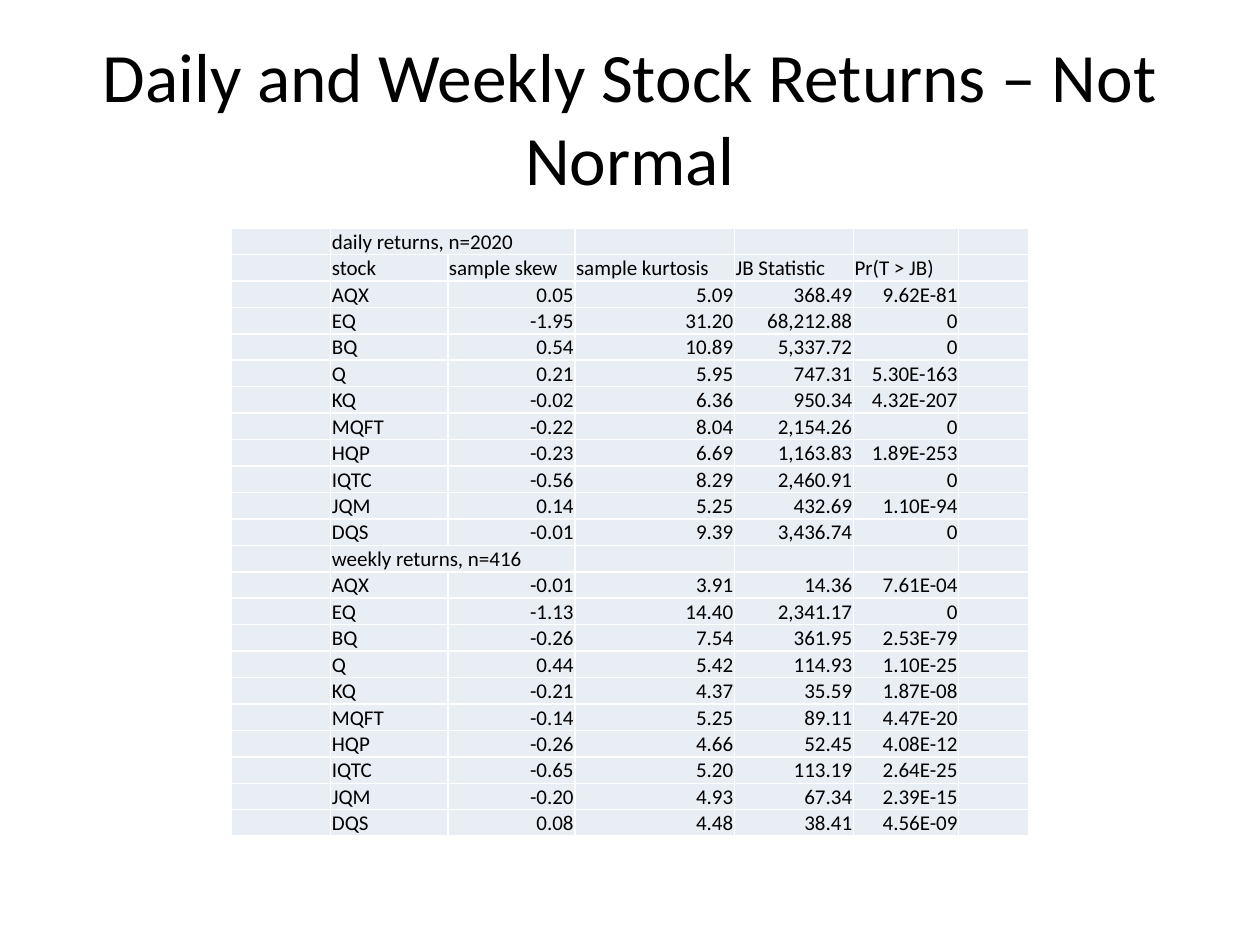
from typing import NamedTuple

from lxml import etree
from pptx import Presentation
from pptx.dml.color import RGBColor
from pptx.enum import text
from pptx.oxml import ns
from pptx.util import Pt

BLACK = RGBColor(0x00, 0x00, 0x00)
PALE_BLUE = RGBColor(0xE9, 0xED, 0xF4)
FONT = "Calibri"
BODY_SIZE = 12
ROW_HEIGHT = 13
COLUMN_WIDTHS = (56.6, 66.9, 72.6, 91.2, 68, 60.2, 40)
HEADINGS = ("stock", "sample skew", "sample kurtosis", "JB Statistic", "Pr(T > JB)")


class Stock(NamedTuple):
    ticker: str
    skew: str
    kurtosis: str
    jb_statistic: str
    probability: str


class Period(NamedTuple):
    caption: str
    headings: tuple
    stocks: tuple


DAILY = Period("daily returns, n=2020", HEADINGS, (
    Stock("AQX", "0.05", "5.09", "368.49", "9.62E-81"),
    Stock("EQ", "-1.95", "31.20", "68,212.88", "0"),
    Stock("BQ", "0.54", "10.89", "5,337.72", "0"),
    Stock("Q", "0.21", "5.95", "747.31", "5.30E-163"),
    Stock("KQ", "-0.02", "6.36", "950.34", "4.32E-207"),
    Stock("MQFT", "-0.22", "8.04", "2,154.26", "0"),
    Stock("HQP", "-0.23", "6.69", "1,163.83", "1.89E-253"),
    Stock("IQTC", "-0.56", "8.29", "2,460.91", "0"),
    Stock("JQM", "0.14", "5.25", "432.69", "1.10E-94"),
    Stock("DQS", "-0.01", "9.39", "3,436.74", "0"),
))
WEEKLY = Period("weekly returns, n=416", (), (
    Stock("AQX", "-0.01", "3.91", "14.36", "7.61E-04"),
    Stock("EQ", "-1.13", "14.40", "2,341.17", "0"),
    Stock("BQ", "-0.26", "7.54", "361.95", "2.53E-79"),
    Stock("Q", "0.44", "5.42", "114.93", "1.10E-25"),
    Stock("KQ", "-0.21", "4.37", "35.59", "1.87E-08"),
    Stock("MQFT", "-0.14", "5.25", "89.11", "4.47E-20"),
    Stock("HQP", "-0.26", "4.66", "52.45", "4.08E-12"),
    Stock("IQTC", "-0.65", "5.20", "113.19", "2.64E-25"),
    Stock("JQM", "-0.20", "4.93", "67.34", "2.39E-15"),
    Stock("DQS", "0.08", "4.48", "38.41", "4.56E-09"),
))


def write(paragraph, words: str, size: float, align) -> None:
    paragraph.text = words
    paragraph.alignment = align
    paragraph.font.name = FONT
    paragraph.font.size = Pt(size)
    paragraph.font.color.rgb = BLACK


def add_title(slide, words: str) -> None:
    title = slide.shapes.add_textbox(Pt(36), Pt(21.6), Pt(648), Pt(90))
    title.text_frame.word_wrap = True
    title.text_frame.vertical_anchor = text.MSO_ANCHOR.MIDDLE
    write(title.text_frame.paragraphs[0], words, 39.6, text.PP_ALIGN.CENTER)


def fill_cell(cell, words: str, align) -> None:
    cell.fill.solid()
    cell.fill.fore_color.rgb = PALE_BLUE
    cell.vertical_anchor = text.MSO_ANCHOR.BOTTOM
    cell.margin_left = cell.margin_right = cell.margin_top = Pt(0.7)
    cell.margin_bottom = Pt(0)
    paragraph = cell.text_frame.paragraphs[0]
    write(paragraph, words, BODY_SIZE, align)
    if not words:
        etree.SubElement(paragraph._p, ns.qn("a:endParaRPr"), sz=str(BODY_SIZE * 100))


def add_returns(slide, periods: tuple[Period, ...]) -> None:
    lines = []
    for period in periods:
        lines.append((period.caption,))
        if period.headings:
            lines.append(period.headings)
        lines.extend(period.stocks)

    frame = slide.shapes.add_table(
        len(lines), len(COLUMN_WIDTHS), Pt(132.4), Pt(130.3),
        Pt(sum(COLUMN_WIDTHS)), Pt(ROW_HEIGHT * len(lines)))
    returns = frame.table
    returns.first_row = False
    returns.horz_banding = False
    for column, width in zip(returns.columns, COLUMN_WIDTHS):
        column.width = Pt(width)

    for row, line in enumerate(lines):
        returns.rows[row].height = Pt(ROW_HEIGHT)
        entries = ("", *line)
        for column in range(len(COLUMN_WIDTHS)):
            words = entries[column] if column < len(entries) else ""
            numeric = isinstance(line, Stock) and column > 1
            align = text.PP_ALIGN.RIGHT if numeric else text.PP_ALIGN.LEFT
            fill_cell(returns.cell(row, column), words, align)
        if len(line) == 1:
            returns.cell(row, 1).merge(returns.cell(row, 2))


def main() -> None:
    deck = Presentation()
    deck.slide_width, deck.slide_height = Pt(720), Pt(540)
    slide = deck.slides.add_slide(deck.slide_layouts[6])
    add_title(slide, "Daily and Weekly Stock Returns – Not Normal")
    add_returns(slide, (DAILY, WEEKLY))
    deck.save("out.pptx")


if __name__ == "__main__":
    main()
